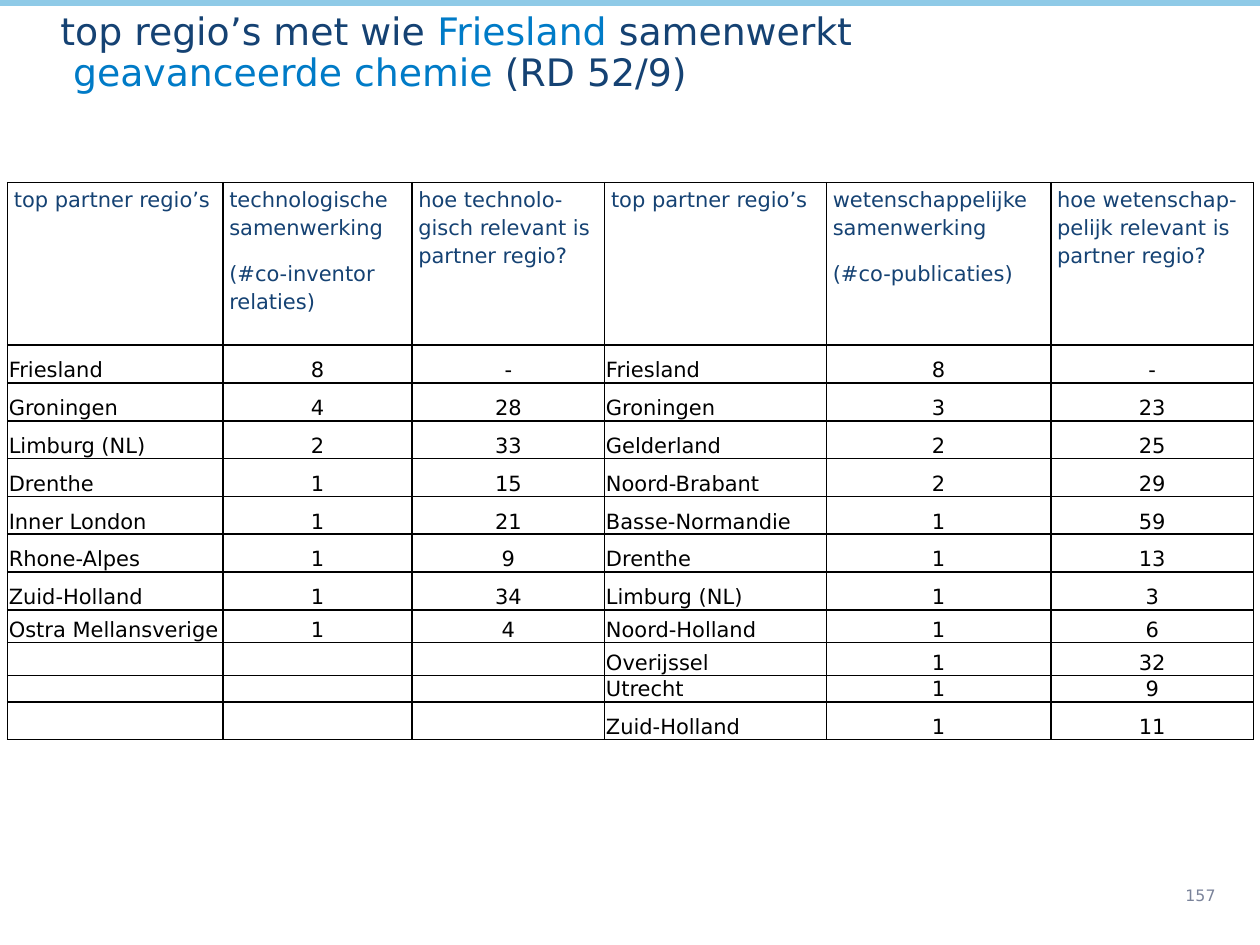
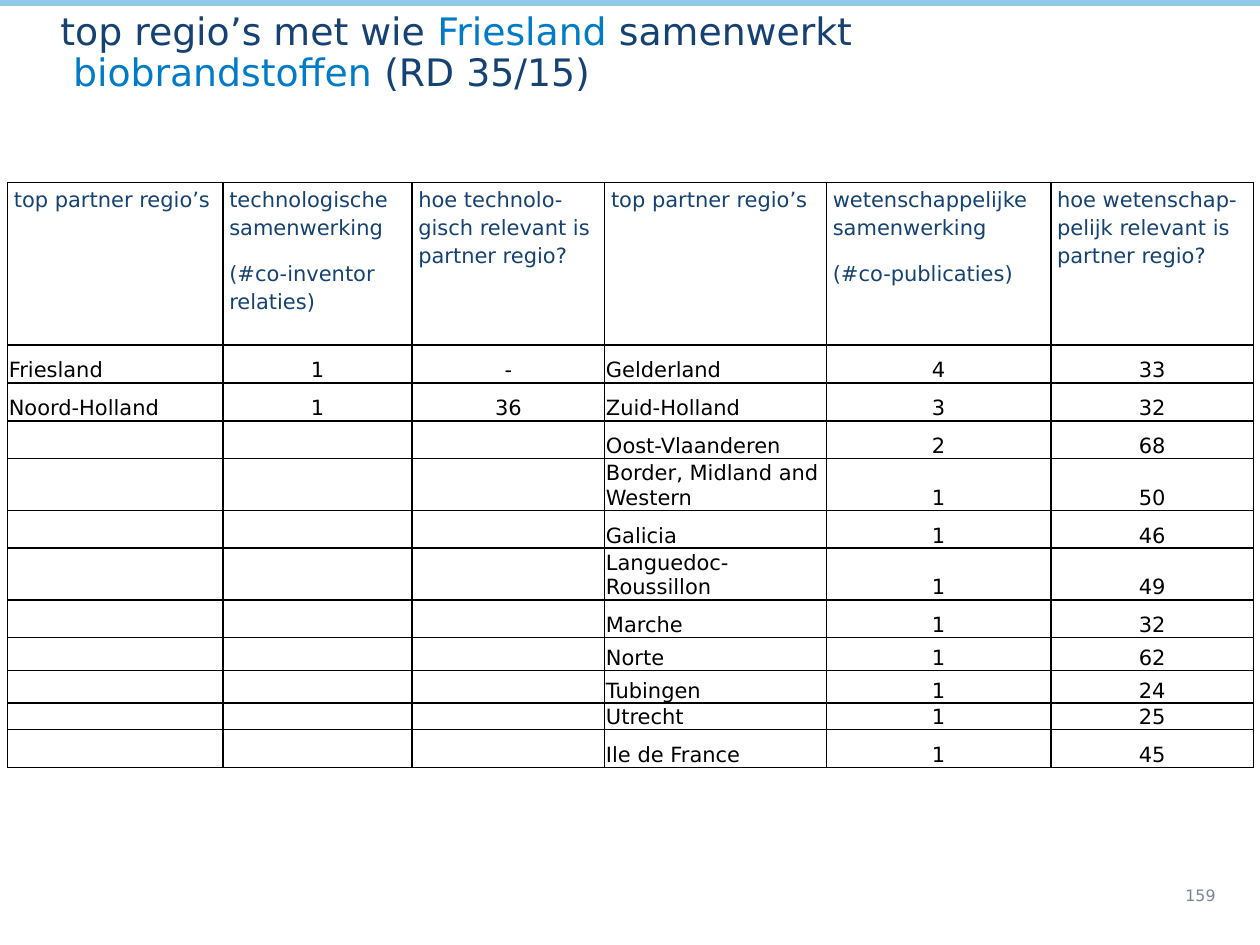
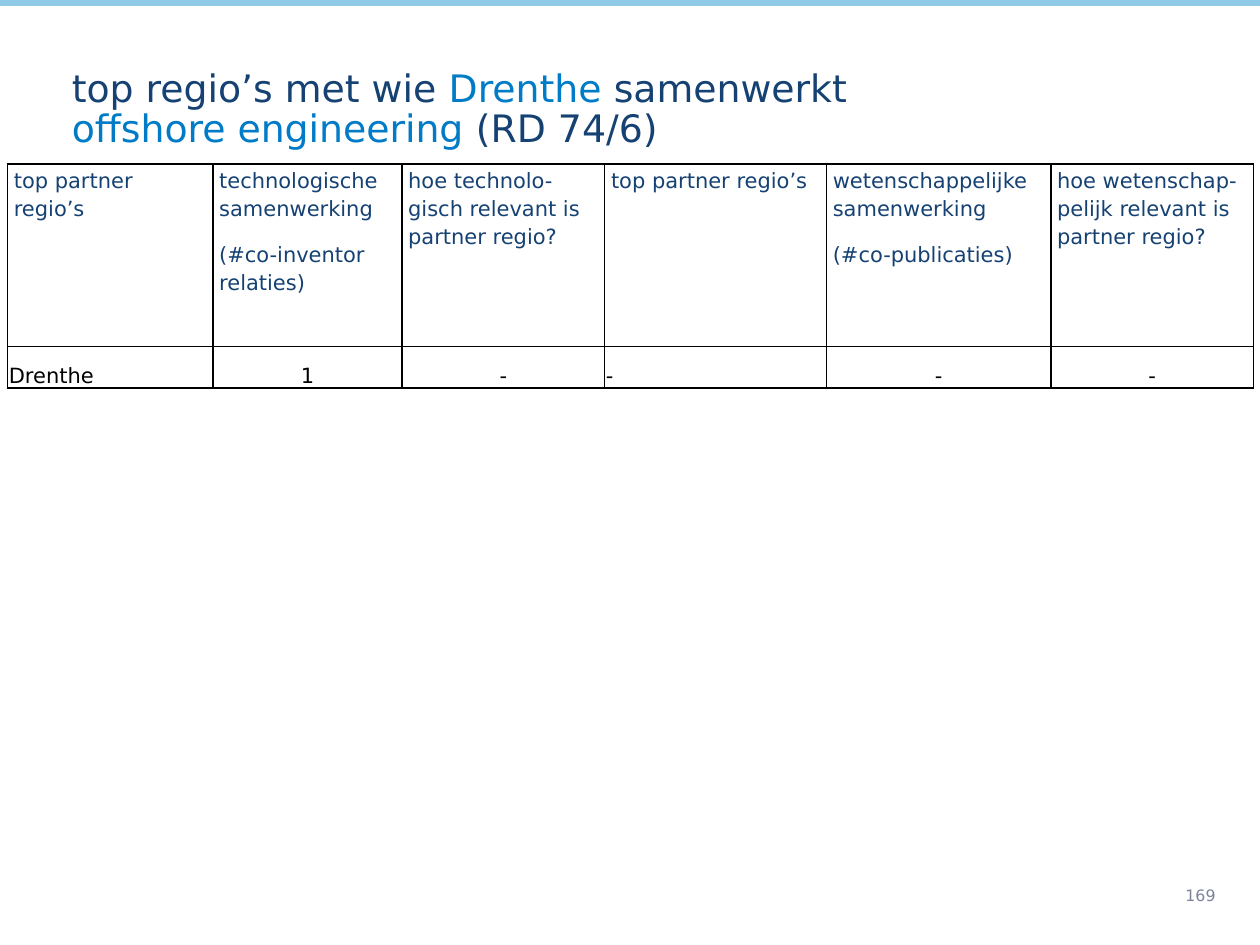
import itertools

import pptx
import pptx.dml.color
import pptx.enum.shapes
import pptx.enum.text
import pptx.oxml.ns
import pptx.util
from lxml import etree
from pptx.util import Inches

NAVY = pptx.dml.color.RGBColor(0x15, 0x42, 0x73)
BLUE = pptx.dml.color.RGBColor(0x00, 0x7B, 0xC7)
SKY = pptx.dml.color.RGBColor(0x8F, 0xCA, 0xE7)
GREY = pptx.dml.color.RGBColor(0x7A, 0x83, 0x9A)
BLACK = pptx.dml.color.RGBColor(0, 0, 0)

HEADERS = (
    "top partner regio’s",
    "technologische samenwerking\n(#co-inventor relaties)",
    "hoe technolo-gisch relevant is partner regio?",
    "top partner regio’s",
    "wetenschappelijke samenwerking\n(#co-publicaties)",
    "hoe wetenschap-pelijk relevant is partner regio?",
)
EMPTY_PARTNER = ("", "", "")
FRIESLAND_COLUMNS = (1.71, 1.5, 1.53, 1.76, 1.78, 1.61)
FRIESLAND_ROWS = (1.29,) + (0.3,) * 7 + (0.26, 0.26, 0.2, 0.3)
DRENTHE_COLUMNS = (1.63, 1.5, 1.61, 1.76, 1.78, 1.61)
DRENTHE_ROWS = (1.45, 0.33)

CHEMISTRY_TECHNOLOGY = (
    ("Friesland", "8", "-"),
    ("Groningen", "4", "28"),
    ("Limburg (NL)", "2", "33"),
    ("Drenthe", "1", "15"),
    ("Inner London", "1", "21"),
    ("Rhone-Alpes", "1", "9"),
    ("Zuid-Holland", "1", "34"),
    ("Ostra Mellansverige", "1", "4"),
)
CHEMISTRY_SCIENCE = (
    ("Friesland", "8", "-"),
    ("Groningen", "3", "23"),
    ("Gelderland", "2", "25"),
    ("Noord-Brabant", "2", "29"),
    ("Basse-Normandie", "1", "59"),
    ("Drenthe", "1", "13"),
    ("Limburg (NL)", "1", "3"),
    ("Noord-Holland", "1", "6"),
    ("Overijssel", "1", "32"),
    ("Utrecht", "1", "9"),
    ("Zuid-Holland", "1", "11"),
)
BIOFUEL_TECHNOLOGY = (
    ("Friesland", "1", "-"),
    ("Noord-Holland", "1", "36"),
)
BIOFUEL_SCIENCE = (
    ("Gelderland", "4", "33"),
    ("Zuid-Holland", "3", "32"),
    ("Oost-Vlaanderen", "2", "68"),
    ("Border, Midland and Western", "1", "50"),
    ("Galicia", "1", "46"),
    ("Languedoc-Roussillon", "1", "49"),
    ("Marche", "1", "32"),
    ("Norte", "1", "62"),
    ("Tubingen", "1", "24"),
    ("Utrecht", "1", "25"),
    ("Ile de France", "1", "45"),
)
OFFSHORE_TECHNOLOGY = (("Drenthe", "1", "-"),)
OFFSHORE_SCIENCE = (("-", "-", "-"),)


class RegionDeck:
    """Builds slides of partner regions in one shared style."""

    font_name = "DejaVu Sans"

    def __init__(self):
        self.presentation = pptx.Presentation()
        self.presentation.slide_width = Inches(10)
        self.presentation.slide_height = Inches(7.5)
        self.slide = None

    def format_run(self, run, size, color):
        run.font.name = self.font_name
        run.font.size = pptx.util.Pt(size)
        run.font.color.rgb = color

    def start_slide(self, number):
        layout = self.presentation.slide_layouts[5]
        self.slide = self.presentation.slides.add_slide(layout)
        self.add_band()
        self.add_number(number)

    def add_band(self):
        band = self.slide.shapes.add_shape(
            pptx.enum.shapes.MSO_SHAPE.RECTANGLE, 0, 0, Inches(10), Inches(0.04))
        band.shadow.inherit = False
        band.fill.solid()
        band.fill.fore_color.rgb = SKY
        band.line.color.rgb = SKY
        band.line.width = pptx.util.Pt(0.75)

    def add_number(self, number):
        box = self.slide.shapes.add_textbox(
            Inches(9.31), Inches(6.9), Inches(0.68), Inches(0.41))
        frame = box.text_frame
        frame.word_wrap = True
        frame.vertical_anchor = pptx.enum.text.MSO_ANCHOR.MIDDLE
        frame.text = number
        self.format_run(frame.paragraphs[0].runs[0], 9, GREY)

    def add_title(self, region, topic, score, left, top, hanging=0):
        title = self.slide.shapes.title
        title.left, title.top = Inches(left), Inches(top)
        title.width, title.height = Inches(9.53), Inches(0.71)
        frame = title.text_frame
        frame.word_wrap = True
        frame.auto_size = pptx.enum.text.MSO_AUTO_SIZE.NONE
        frame.vertical_anchor = pptx.enum.text.MSO_ANCHOR.BOTTOM
        paragraph = frame.paragraphs[0]
        paragraph.alignment = pptx.enum.text.PP_ALIGN.LEFT
        paragraph.line_spacing = 0.9
        properties = paragraph._p.get_or_add_pPr()
        properties.set("marL", str(Inches(hanging)))
        properties.set("indent", str(-Inches(hanging)))
        lines = (
            (("top regio’s met wie ", NAVY), (region, BLUE), (" samenwerkt", NAVY)),
            ((topic + " ", BLUE), (score, NAVY)),
        )
        for index, line in enumerate(lines):
            if index:
                paragraph.add_line_break()
            for text, color in line:
                run = paragraph.add_run()
                run.text = text
                self.format_run(run, 21.6, color)

    def add_borders(self, cell):
        properties = cell._tc.get_or_add_tcPr()
        qn = pptx.oxml.ns.qn
        for side in ("a:lnL", "a:lnR", "a:lnT", "a:lnB"):
            line = etree.SubElement(properties, qn(side), w=str(pptx.util.Pt(1)))
            fill = etree.SubElement(line, qn("a:solidFill"))
            etree.SubElement(fill, qn("a:srgbClr"), val=str(BLACK))

    def fill_cell(self, cell, text, is_header, is_centered):
        self.add_borders(cell)
        cell.fill.background()
        side_margin = 0.05 if is_header else 0.01
        cell.margin_left = cell.margin_right = Inches(side_margin)
        cell.margin_top, cell.margin_bottom = Inches(0.01), 0
        anchors = pptx.enum.text.MSO_ANCHOR
        cell.vertical_anchor = anchors.TOP if is_header else anchors.BOTTOM
        cell.text_frame.text = text
        for paragraph in cell.text_frame.paragraphs:
            if is_header:
                paragraph.line_spacing = 1.15
                paragraph.space_after = pptx.util.Pt(10)
            elif is_centered:
                paragraph.alignment = pptx.enum.text.PP_ALIGN.CENTER
            for run in paragraph.runs:
                self.format_run(run, 12, NAVY if is_header else BLACK)
            if not text:
                etree.SubElement(
                    paragraph._p, pptx.oxml.ns.qn("a:endParaRPr"), sz="1200")

    def add_partner_table(self, technology, science, top, widths, heights):
        pairs = itertools.zip_longest(technology, science, fillvalue=EMPTY_PARTNER)
        rows = [HEADERS] + [left + right for left, right in pairs]
        table = self.slide.shapes.add_table(
            len(rows), len(widths), Inches(0.06), Inches(top),
            Inches(sum(widths)), Inches(sum(heights))).table
        table.first_row = table.horz_banding = False
        for column, width in zip(table.columns, widths):
            column.width = Inches(width)
        for row, height in zip(table.rows, heights):
            row.height = Inches(height)
        for row_index, texts in enumerate(rows):
            for column_index, text in enumerate(texts):
                self.fill_cell(table.cell(row_index, column_index), text,
                               row_index == 0, column_index % 3 > 0)


def main():
    deck = RegionDeck()
    friesland_slides = (
        ("157", "geavanceerde chemie", "(RD 52/9)", CHEMISTRY_TECHNOLOGY, CHEMISTRY_SCIENCE),
        ("159", "biobrandstoffen", "(RD 35/15)", BIOFUEL_TECHNOLOGY, BIOFUEL_SCIENCE),
    )
    for number, topic, score, technology, science in friesland_slides:
        deck.start_slide(number)
        deck.add_title("Friesland", topic, score, 0.38, 0.09, hanging=0.1)
        deck.add_partner_table(
            technology, science, 1.45, FRIESLAND_COLUMNS, FRIESLAND_ROWS)
    deck.start_slide("169")
    deck.add_title("Drenthe", "offshore engineering", "(RD 74/6)", 0.47, 0.54)
    deck.add_partner_table(
        OFFSHORE_TECHNOLOGY, OFFSHORE_SCIENCE, 1.3, DRENTHE_COLUMNS, DRENTHE_ROWS)
    deck.presentation.save("out.pptx")


if __name__ == "__main__":
    main()
